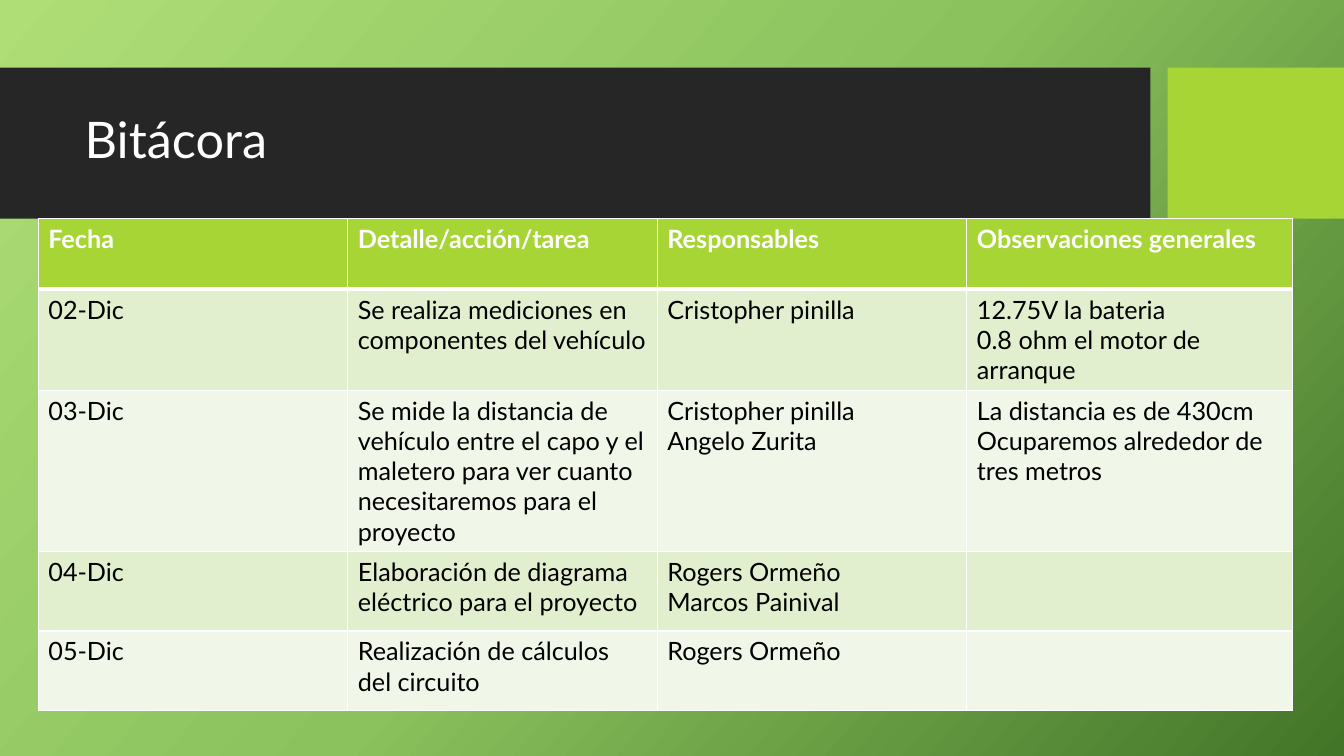
from copy import deepcopy
from lxml import etree
from pptx import Presentation
from pptx import util as u
from pptx.dml.color import RGBColor
from pptx.enum import shapes, text
from pptx.oxml.ns import qn

# Content
TITLE = "Bitácora"
ROWS = [
    ("Fecha", "Detalle/acción/tarea", "Responsables", "Observaciones generales"),
    ("02-Dic", "Se realiza mediciones en componentes del vehículo",
     "Cristopher pinilla", "12.75V la bateria\n0.8 ohm el motor de arranque"),
    ("03-Dic", "Se mide la distancia de vehículo entre el capo y el maletero "
     "para ver cuanto necesitaremos para el proyecto",
     "Cristopher pinilla\nAngelo Zurita",
     "La distancia es de 430cm\nOcuparemos alrededor de tres metros"),
    ("04-Dic", "Elaboración de diagrama eléctrico para el proyecto",
     "Rogers Ormeño\nMarcos Painival", ""),
    ("05-Dic", "Realización de cálculos del circuito", "Rogers Ormeño", ""),
]

# Style
FONT = "Lato"
WHITE = RGBColor(0xFF, 0xFF, 0xFF)
BLACK = RGBColor(0, 0, 0)
DARK = RGBColor(0x26, 0x26, 0x26)
LIME = RGBColor(0xA7, 0xD5, 0x35)
BANDS = [RGBColor(0xF1, 0xF7, 0xE8), RGBColor(0xE1, 0xEF, 0xCE)]
SHADES = [(0, RGBColor(0xAF, 0xDE, 0x77)), (0.5, RGBColor(0x8B, 0xC2, 0x5D)),
          (1, RGBColor(0x43, 0x75, 0x28))]

# Layout in inches
WIDE, HIGH = 13.33, 7.5
BAR_TOP, BAR_HIGH, BAR_END, TAB_LEFT = 0.67, 1.5, 11.41, 11.58
COLS = [3.07, 3.07, 3.07, 3.23]
HEADS = [0.7, 1, 1.6, 0.79, 0.79]


def box(x, y, w, h):
    return [u.Inches(v) for v in (x, y, w, h)]


def style(para, size, color, bold=False):
    font = para.font
    font.name, font.size, font.bold = FONT, u.Pt(size), bold
    font.color.rgb = color


def border(cell, side, width):
    line = etree.SubElement(cell._tc.get_or_add_tcPr(), qn("a:ln" + side),
                            w=str(u.Pt(width)))
    fill = etree.SubElement(line, qn("a:solidFill"))
    etree.SubElement(fill, qn("a:srgbClr"), val=str(WHITE))


def back(slide):
    fill = slide.background.fill
    fill.gradient()
    fill.gradient_angle = 318
    first = next(slide._element.iter(qn("a:gs")))
    first.addnext(deepcopy(first))
    for stop, (place, color) in zip(fill.gradient_stops, SHADES):
        stop.position = place
        stop.color.rgb = color


def bars(slide):
    for left, right, color in ((0, BAR_END, DARK), (TAB_LEFT, WIDE, LIME)):
        bar = slide.shapes.add_shape(shapes.MSO_SHAPE.RECTANGLE,
                                     *box(left, BAR_TOP, right - left, BAR_HIGH))
        bar.shadow.inherit = False
        bar.fill.solid()
        bar.fill.fore_color.rgb = color
        bar.line.fill.background()


def head(slide):
    title = slide.shapes.title
    slide.shapes._spTree.append(title._element)  # in front of the bars
    title.left, title.top, title.width, title.height = box(0.74, 0.82, 10.51, 1.18)
    frame = title.text_frame
    frame.text = TITLE
    frame.word_wrap = True
    frame.auto_size = text.MSO_AUTO_SIZE.NONE
    frame.vertical_anchor = text.MSO_ANCHOR.MIDDLE
    para = frame.paragraphs[0]
    para.alignment = text.PP_ALIGN.LEFT
    para.line_spacing = 0.9
    style(para, 36, WHITE)


def log(slide):
    table = slide.shapes.add_table(
        len(ROWS), len(COLS),
        *box(0.38, BAR_TOP + BAR_HIGH, sum(COLS), sum(HEADS))).table
    for col, width in zip(table.columns, COLS):
        col.width = u.Inches(width)
    for i, (row, height) in enumerate(zip(table.rows, HEADS)):
        row.height = u.Inches(height)
        for cell, words in zip(row.cells, ROWS[i]):
            cell.text = words
            for para in cell.text_frame.paragraphs:
                style(para, 18, BLACK if i else WHITE, i == 0)
            for side in "LRTB":
                thick = (i, side) in ((0, "B"), (1, "T"))
                border(cell, side, 3 if thick else 1)
            cell.fill.solid()
            cell.fill.fore_color.rgb = BANDS[i % 2] if i else LIME


def main():
    deck = Presentation()
    deck.slide_width, deck.slide_height = u.Inches(WIDE), u.Inches(HIGH)
    slide = deck.slides.add_slide(deck.slide_layouts[5])
    for part in (back, bars, head, log):
        part(slide)
    deck.save("out.pptx")


if __name__ == "__main__":
    main()
